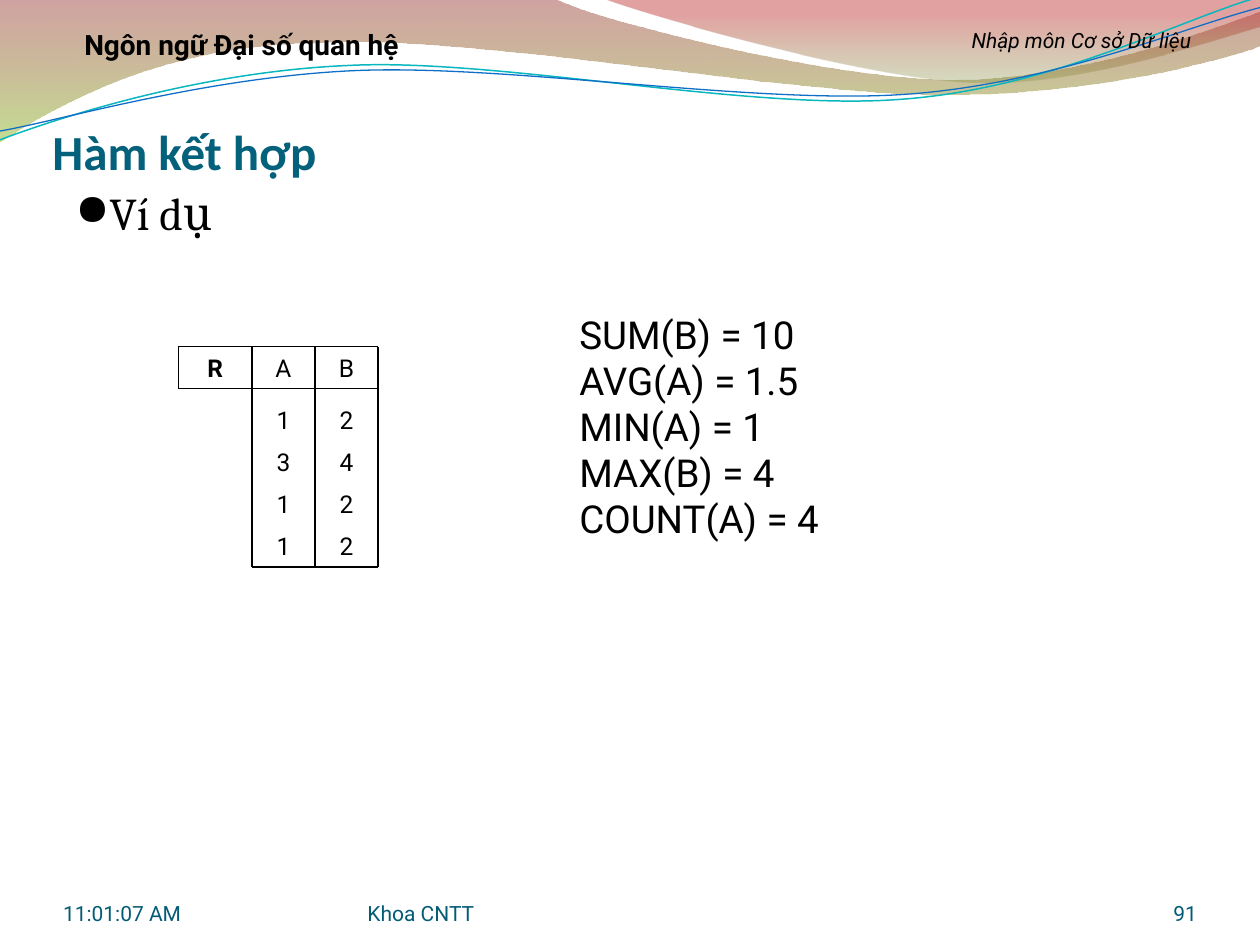
"""Build the slide on aggregate functions in relational algebra."""
from math import cos, radians, sin

from lxml import etree
from pptx import Presentation
from pptx.dml.color import RGBColor
from pptx.enum.shapes import MSO_CONNECTOR as Connector
from pptx.enum.text import MSO_ANCHOR as Anchor, PP_ALIGN as Align
from pptx.oxml import parse_xml
from pptx.oxml.ns import nsdecls, qn
from pptx.util import Inches, Pt

COLORS = {
    "black": "000000", "title": "04617B", "footer": "035C75",
    "teal": "09B7BF", "blue": "0F6FC6", "maroon": "973330",
    "lime": "95C238", "olive": "769537", "red": "BE3330",
}

presentation = Presentation()
presentation.slide_width, presentation.slide_height = Inches(10), Inches(7.5)
slide = presentation.slides.add_slide(presentation.slide_layouts[6])
UNIT = presentation.slide_width / 120


def add_text(text, column, row, width, height, size=14, font="Roboto", color="black",
             bold=False, italic=False, align=Align.LEFT, anchor=Anchor.TOP,
             insets=(0.1, 0.05, 0.1, 0.05), bullet=None):
    box = slide.shapes.add_textbox(*(round(n * UNIT) for n in (column, row, width, height)))
    frame = box.text_frame
    frame.word_wrap = True
    frame.vertical_anchor = anchor
    (frame.margin_left, frame.margin_top,
     frame.margin_right, frame.margin_bottom) = map(Inches, insets)
    for index, line in enumerate(text.split("\n")):
        paragraph = frame.add_paragraph() if index else frame.paragraphs[0]
        paragraph.alignment = align
        if bullet:
            properties = paragraph._p.get_or_add_pPr()
            properties.set("marL", str(Inches(0.24)))
            properties.set("indent", str(-Inches(0.24)))
            etree.SubElement(properties, qn("a:buSzPct")).set("val", "95000")
            etree.SubElement(properties, qn("a:buFont")).set("typeface", "OpenSymbol")
            etree.SubElement(properties, qn("a:buChar")).set("char", bullet)
        run = paragraph.add_run()
        run.text = line
        run.font.size, run.font.name = Pt(size), font
        run.font.bold, run.font.italic = bold, italic
        run.font.color.rgb = RGBColor.from_string(COLORS[color])


def add_wave(box, start, segments, tilt=0):
    left, top, width, height = box
    middle_x, middle_y = left + width / 2, top + height / 2
    cosine, sine = cos(radians(tilt)), sin(radians(tilt))
    builder = slide.shapes.build_freeform(0, 0)
    builder.add_line_segments([(Inches(width), Inches(height))], close=False)
    shape = builder.convert_to_shape()
    shape.left, shape.top, shape.width, shape.height = map(Inches, box)
    shape.rotation = -tilt % 360
    shape.shadow.inherit = False
    shape.fill.background()
    outline = shape._element.spPr.find(".//" + qn("a:path"))
    outline.set("w", str(Inches(width)))
    outline.set("h", str(Inches(height)))
    for child in list(outline):
        outline.remove(child)
    for index, segment in enumerate([start, *segments]):
        kind = "cubicBezTo" if len(segment) == 6 else "lnTo" if index else "moveTo"
        command = etree.SubElement(outline, qn("a:" + kind))
        for x, y in zip(segment[::2], segment[1::2]):
            across, down = x - middle_x, y - middle_y
            point = etree.SubElement(command, qn("a:pt"))
            point.set("x", str(Inches(across * cosine - down * sine + width / 2)))
            point.set("y", str(Inches(across * sine + down * cosine + height / 2)))
    return shape


bands = [
    ((-0.01, -0.01, 10.02, 1.14), (0, -0.01),
     [(4.4, -0.01), (4.76, 0.17, 6.63, 0.63, 7.58, 0.63),
      (8.53, 0.63, 9.58, 0.25, 10, 0.09), (10.01, 0.36),
      (9.83, 0.44, 8.7, 0.76, 7.46, 0.75), (6.22, 0.75, 3.82, 0.28, 2.57, 0.34),
      (1.29, 0.35, 0.46, 0.83, -0.01, 1.13), (0, -0.01)],
     90, [(0, "maroon", 45), (100, "lime", 55)]),
    ((4.79, -0.01, 5.21, 0.7), (4.79, -0.01),
     [(5.09, 0.11, 6.82, 0.61, 7.69, 0.65), (8.55, 0.69, 9.61, 0.32, 10, 0.21),
      (10, 0), (4.79, -0.01)],
     270, [(0, "olive", 30), (80, "red", 45)]),
]
for box, start, segments, angle, stops in bands:
    band = add_wave(box, start, segments)
    band.line.fill.background()
    stop_xml = "".join(
        f'<a:gs pos="{position * 1000}"><a:srgbClr val="{COLORS[color]}">'
        f'<a:alpha val="{alpha * 1000}"/></a:srgbClr></a:gs>'
        for position, color, alpha in stops)
    gradient = parse_xml(
        f'<a:gradFill {nsdecls("a")} rotWithShape="1"><a:gsLst>{stop_xml}</a:gsLst>'
        f'<a:lin ang="{angle * 60000}" scaled="0"/></a:gradFill>')
    properties = band._element.spPr
    properties.replace(properties.find(qn("a:noFill")), gradient)

curves = [
    ((-0.02, 0.22, 10.02, 0.71), (0, 1.11),
     [(0.48, 0.93, 1.58, 0.57, 2.77, 0.52), (3.95, 0.46, 5.92, 0.88, 7.13, 0.79),
      (8.33, 0.71, 9.38, 0.15, 9.98, -0.02)], "teal", 0.85),
    ((-0.01, 0.3, 10.03, 0.58), (0, 1.04),
     [(0.47, 0.96, 1.64, 0.61, 2.83, 0.56), (4.03, 0.51, 5.97, 0.83, 7.17, 0.75),
      (8.36, 0.67, 9.41, 0.21, 10, 0.06)], "blue", 0.75),
]
for box, start, segments, color, weight in curves:
    curve = add_wave(box, start, segments, tilt=2.7)
    curve.line.color.rgb = RGBColor.from_string(COLORS[color])
    curve.line.width = Pt(weight)

add_text("Hàm kết hợp", 5, 9, 112, 8.16, size=28, font="Calibri", color="title",
         bold=True, anchor=Anchor.BOTTOM, insets=(0, 0.05, 0, 0))
add_text("Ví dụ", 6, 17, 108, 63.5, size=26, font="Cambria", bullet="●")

LEFT, TOP, HEADER_BOTTOM, BOTTOM = 17, 33, 37, 54
EDGES = (24, 30, 36)
rules = [(LEFT, TOP, EDGES[2], TOP), (LEFT, HEADER_BOTTOM, EDGES[2], HEADER_BOTTOM),
         (EDGES[0], BOTTOM, EDGES[2], BOTTOM), (LEFT, TOP, LEFT, HEADER_BOTTOM)]
rules += [(edge, TOP, edge, BOTTOM) for edge in EDGES]
for rule in rules:
    line = slide.shapes.add_connector(Connector.STRAIGHT, *(round(n * UNIT) for n in rule))
    line.line.color.rgb = RGBColor.from_string(COLORS["black"])
    line.line.width = Pt(1)
    etree.SubElement(line._element.spPr, qn("a:effectLst"))

add_text("R", LEFT, TOP, 7, 4, bold=True, align=Align.CENTER)
for column, values in zip(EDGES, ("A1311", "B2422")):
    for index, value in enumerate(values):
        row = HEADER_BOTTOM - 3 + 4 * index if index else TOP
        add_text(value, column, row, 6, 4, align=Align.CENTER)

add_text("SUM(B) = 10\nAVG(A) = 1.5\nMIN(A) = 1\nMAX(B) = 4\nCOUNT(A) = 4",
         54, 29, 28, 30.5, size=22)

for text, column, width, align in (("11:01:07 AM", 6, 28, Align.LEFT),
                                   ("Khoa CNTT", 35, 44, Align.LEFT),
                                   ("91", 104, 10, Align.RIGHT)):
    add_text(text, column, 83.4, width, 4.8, size=12, color="footer", align=align,
             anchor=Anchor.BOTTOM, insets=(0, 0, 0, 0))

add_text("Nhập môn Cơ sở Dữ liệu", 86, 2, 34, 3.6, size=12, italic=True, align=Align.CENTER)
add_text("Ngôn ngữ Đại số quan hệ", 3, 2, 40, 4.3, size=16, bold=True, align=Align.CENTER)

presentation.save("out.pptx")
